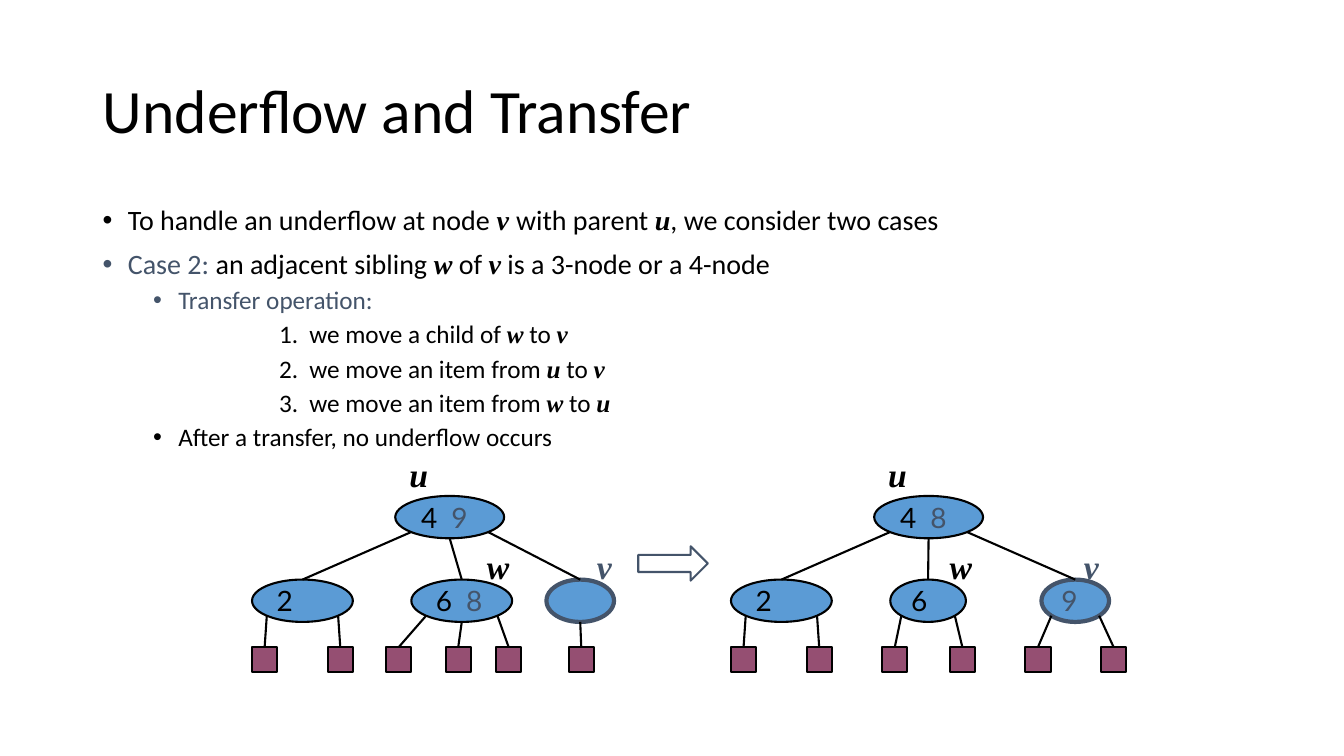
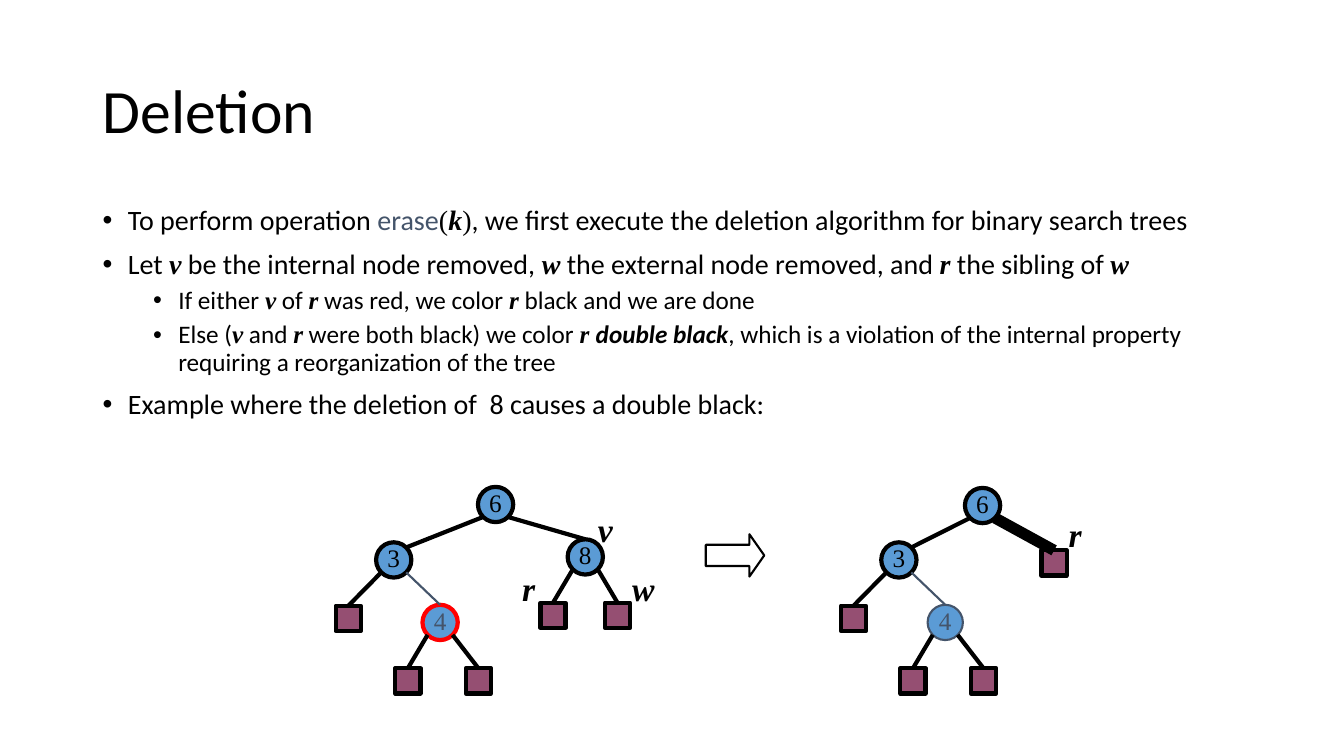
from math import sqrt

from lxml.etree import SubElement
from pptx import Presentation
from pptx.dml.color import RGBColor
from pptx.enum.shapes import MSO_CONNECTOR, MSO_SHAPE
from pptx.enum.text import MSO_ANCHOR, PP_ALIGN
from pptx.oxml.ns import qn
from pptx.util import Inches, Pt

BLACK = RGBColor(0x00, 0x00, 0x00)
SLATE = RGBColor(0x44, 0x54, 0x6A)
BLUE = RGBColor(0x5B, 0x9B, 0xD5)
PLUM = RGBColor(0x95, 0x4F, 0x72)
RED = RGBColor(0xFF, 0x00, 0x00)

SANS = "Calibri"
SERIF = "Times New Roman"
NODE_FONT = "Lato"

LEAF_SIZE = 0.25
CIRCLE_SIZE = 0.35
TREE_OFFSET = 4.75
SUBTREE_OFFSET = 5.01

MARKERS = {
    "~": (None, False, SLATE),
    "*": (SERIF, True, BLACK),
    "^": (SERIF, False, BLACK),
    "_": (None, True, BLACK),
}
LEVELS = {
    "main": (20, 0.25, -0.25, 10, "buChar", {"char": "•"}),
    "sub": (18, 0.75, -0.25, 5, "buChar", {"char": "•"}),
    "step": (18, 2.05, -0.3, 5, "buAutoNum", {"type": "arabicPeriod"}),
}
LEAF_SIDES = {1: [0], 2: [-1, 1], 3: [-1, 0, 1]}


def write_runs(paragraph, marked_text, font_name, size):
    for piece in marked_text.split("|"):
        font, emphasis, color = None, False, BLACK
        if piece[0] in MARKERS:
            font, emphasis, color = MARKERS[piece[0]]
            piece = piece[1:]
        run = paragraph.add_run()
        run.text = piece
        run.font.name = font or font_name
        run.font.size = Pt(size)
        run.font.bold = run.font.italic = emphasis
        run.font.color.rgb = color


def set_margins(text_frame, bottom=0):
    text_frame.margin_left = text_frame.margin_right = text_frame.margin_top = 0
    text_frame.margin_bottom = Inches(bottom)


def add_titled_slide(presentation, title_text):
    slide = presentation.slides.add_slide(presentation.slide_layouts[5])
    title = slide.shapes.title
    title.left, title.top = Inches(0.92), Inches(0.4)
    title.width, title.height = Inches(11.5), Inches(1.45)
    title.text_frame.text = title_text
    title.text_frame.vertical_anchor = MSO_ANCHOR.MIDDLE
    paragraph = title.text_frame.paragraphs[0]
    paragraph.alignment = PP_ALIGN.LEFT
    paragraph.line_spacing = 0.9
    font = paragraph.runs[0].font
    font.name, font.size, font.color.rgb = SANS, Pt(44), BLACK
    return slide


def add_body(slide, items):
    body = slide.shapes.add_textbox(Inches(0.92), Inches(2), Inches(11.5), Inches(2.5))
    text_frame = body.text_frame
    text_frame.word_wrap = True
    for index, (level, text) in enumerate(items):
        size, margin, indent, space, bullet, attributes = LEVELS[level]
        paragraph = text_frame.add_paragraph() if index else text_frame.paragraphs[0]
        properties = paragraph._p.get_or_add_pPr()
        properties.set("marL", str(Inches(margin)))
        properties.set("indent", str(Inches(indent)))
        if bullet == "buChar":
            SubElement(properties, qn("a:buFont"), typeface="Arial")
        SubElement(properties, qn(f"a:{bullet}"), attributes)
        paragraph.line_spacing = 0.9
        paragraph.space_before = Pt(space if index else 0)
        write_runs(paragraph, text, SANS, size)


def add_outlined(slide, kind, left, top, width, height, fill, color=BLACK, weight=1.5):
    shape = slide.shapes.add_shape(
        kind, Inches(left), Inches(top), Inches(width), Inches(height)
    )
    shape.shadow.inherit = False
    if fill is None:
        shape.fill.background()
    else:
        shape.fill.solid()
        shape.fill.fore_color.rgb = fill
    shape.line.color.rgb = color
    shape.line.width = Pt(weight)
    return shape


def add_leaf(slide, left, top, weight=1.5):
    return add_outlined(
        slide, MSO_SHAPE.RECTANGLE, left, top, LEAF_SIZE, LEAF_SIZE, PLUM, weight=weight
    )


def add_arrow(slide, left, top, width, height, color, head_ratio):
    arrow = add_outlined(
        slide, MSO_SHAPE.RIGHT_ARROW, left, top, width, height, None, color
    )
    arrow.adjustments[1] = head_ratio


def add_variable(slide, name, left, top, marker="*"):
    box = slide.shapes.add_textbox(Inches(left), Inches(top), Inches(0.3), Inches(0.4))
    set_margins(box.text_frame)
    box.text_frame.word_wrap = False
    paragraph = box.text_frame.paragraphs[0]
    write_runs(paragraph, marker + name, SERIF, 24)
    paragraph.runs[0].font.bold = paragraph.runs[0].font.italic = True


def ellipse_point(node, side, vertical=1):
    ratio = 1 / sqrt(2)
    x = node.left + node.width / 2 * (1 + side * ratio)
    y = node.top + node.height / 2 * (1 + vertical * (ratio if side else 1))
    return int(x), int(y)


def add_edge(slide, child, parent, side, weight=1.5, color=BLACK, child_side=0):
    begin = ellipse_point(child, child_side, -1)
    end = ellipse_point(parent, side)
    edge = slide.shapes.add_connector(MSO_CONNECTOR.STRAIGHT, *begin, *end)
    if child_side == 0:
        edge.begin_connect(child, 0)
    edge.line.color.rgb = color
    edge.line.width = Pt(weight)
    SubElement(edge._element.spPr, qn("a:effectLst"))


def add_wide_node(slide, left, top, width, items, color=BLACK, weight=1.5):
    node = add_outlined(
        slide, MSO_SHAPE.OVAL, left, top, width, 0.42, BLUE, color, weight
    )
    if items:
        text_frame = node.text_frame
        text_frame.word_wrap = True
        text_frame.vertical_anchor = MSO_ANCHOR.MIDDLE
        paragraph = text_frame.paragraphs[0]
        paragraph.alignment = PP_ALIGN.LEFT
        tabs = SubElement(paragraph._p.get_or_add_pPr(), qn("a:tabLst"))
        SubElement(tabs, qn("a:tab"), pos=str(Inches(0.3)), algn="l")
        write_runs(paragraph, items, NODE_FONT, 20)
    return node


def add_transfer_tree(slide, offset, root_items, children):
    root = add_wide_node(slide, offset + 3.92, 4.92, 1.08, root_items)
    for side, (left, width, items, color, weight, leaves) in zip((-1, 0, 1), children):
        node = add_wide_node(slide, left, 5.75, width, items, color, weight)
        add_edge(slide, node, root, side)
        for leaf_side, leaf_left in zip(LEAF_SIDES[len(leaves)], leaves):
            add_edge(slide, add_leaf(slide, leaf_left, 6.42), node, leaf_side)
    add_variable(slide, "u", offset + 4.06, 4.5)


def add_circle(slide, left, top, key, outline=BLACK, weight=3):
    circle = add_outlined(
        slide, MSO_SHAPE.OVAL, left, top, CIRCLE_SIZE, CIRCLE_SIZE, BLUE, outline, weight
    )
    set_margins(circle.text_frame, 0.05)
    circle.text_frame.word_wrap = False
    circle.text_frame.vertical_anchor = MSO_ANCHOR.MIDDLE
    paragraph = circle.text_frame.paragraphs[0]
    paragraph.alignment = PP_ALIGN.CENTER
    write_runs(paragraph, key, SERIF, 18)
    return circle


def add_circle_leaf(slide, left, top, parent, side, weight=3):
    add_edge(slide, add_leaf(slide, left, top, 3), parent, side, weight)


def add_left_subtree(slide, root, offset, red_outline, red_weight):
    three = add_circle(slide, offset + 3.73, 5.38, "3")
    add_edge(slide, three, root, -1, 3, child_side=1)
    add_circle_leaf(slide, offset + 3.33, 6.01, three, -1)
    four = add_circle(slide, offset + 4.19, 6, "~4", red_outline, red_weight)
    add_edge(slide, four, three, 1, 1.5, SLATE)
    for side, left in ((-1, 3.92), (1, 4.62)):
        add_circle_leaf(slide, offset + left, 6.63, four, side)


def build_transfer_slide(presentation):
    slide = add_titled_slide(presentation, "Underflow and Transfer")
    add_body(slide, [
        ("main", "To handle an underflow at node |*v |with parent |*u|, we consider two cases"),
        ("main", "~Case 2:| an adjacent sibling |*w| of |*v| is a 3-node or a 4-node"),
        ("sub", "~Transfer operation:"),
        ("step", "we move a child of |*w| to |*v"),
        ("step", "we move an item from |*u| to |*v"),
        ("step", "we move an item from |*w| to |*u"),
        ("sub", "After a transfer, no underflow occurs"),
    ])
    add_transfer_tree(slide, 0, "4\t|~9", [
        (2.5, 1, "2", BLACK, 1.5, [2.5, 3.25]),
        (4.08, 1, "6\t|~8", BLACK, 1.5, [3.83, 4.42, 4.92]),
        (5.42, 0.67, "", SLATE, 3, [5.64]),
    ])
    add_variable(slide, "w", 4.83, 5.42)
    add_variable(slide, "v", 5.92, 5.42, "~")
    add_arrow(slide, 6.33, 5.42, 0.69, 0.34, SLATE, 0.5)
    add_transfer_tree(slide, TREE_OFFSET, "4\t|~8", [
        (7.25, 1, "2", BLACK, 1.5, [7.25, 8]),
        (8.83, 0.75, "6", BLACK, 1.5, [8.75, 9.42]),
        (10.33, 0.67, "~9", SLATE, 3, [10.17, 10.92]),
    ])
    add_variable(slide, "w", 9.42, 5.42)
    add_variable(slide, "v", 10.75, 5.42, "~")


def build_deletion_slide(presentation):
    slide = add_titled_slide(presentation, "Deletion")
    add_body(slide, [
        ("main", "To perform operation |~erase|^(|*k|^)|, we first execute the deletion "
                 "algorithm for binary search trees"),
        ("main", "Let |*v| be the internal node removed, |*w| the external node removed, "
                 "and |*r| the sibling of |*w"),
        ("sub", "If either |*v| of |*r| was red, we color |*r| black and we are done"),
        ("sub", "Else (|*v| and |*r| were both black) we color |*r |_double black|, which is "
                "a violation of the internal property requiring a reorganization of the tree"),
        ("main", "Example where the deletion of  8 causes a double black:"),
    ])
    root = add_circle(slide, 4.74, 4.83, "6")
    add_left_subtree(slide, root, 0, RED, 3)
    eight = add_circle(slide, 5.63, 5.35, "8")
    add_edge(slide, eight, root, 1, 3)
    for side, left in ((-1, 5.36), (1, 6)):
        add_circle_leaf(slide, left, 5.98, eight, side)
    add_variable(slide, "v", 5.93, 5.05)
    add_variable(slide, "r", 5.18, 5.63)
    add_variable(slide, "w", 6.27, 5.63)
    add_arrow(slide, 7, 5.3, 0.58, 0.42, BLACK, 0.35)
    root = add_circle(slide, 9.57, 4.84, "6")
    add_left_subtree(slide, root, SUBTREE_OFFSET, SLATE, 1.5)
    add_circle_leaf(slide, 10.33, 5.46, root, 1, 8)
    add_variable(slide, "r", 10.6, 5.1)


def main():
    presentation = Presentation()
    presentation.slide_width, presentation.slide_height = Inches(13.33), Inches(7.5)
    build_transfer_slide(presentation)
    build_deletion_slide(presentation)
    presentation.save("out.pptx")


if __name__ == "__main__":
    main()
